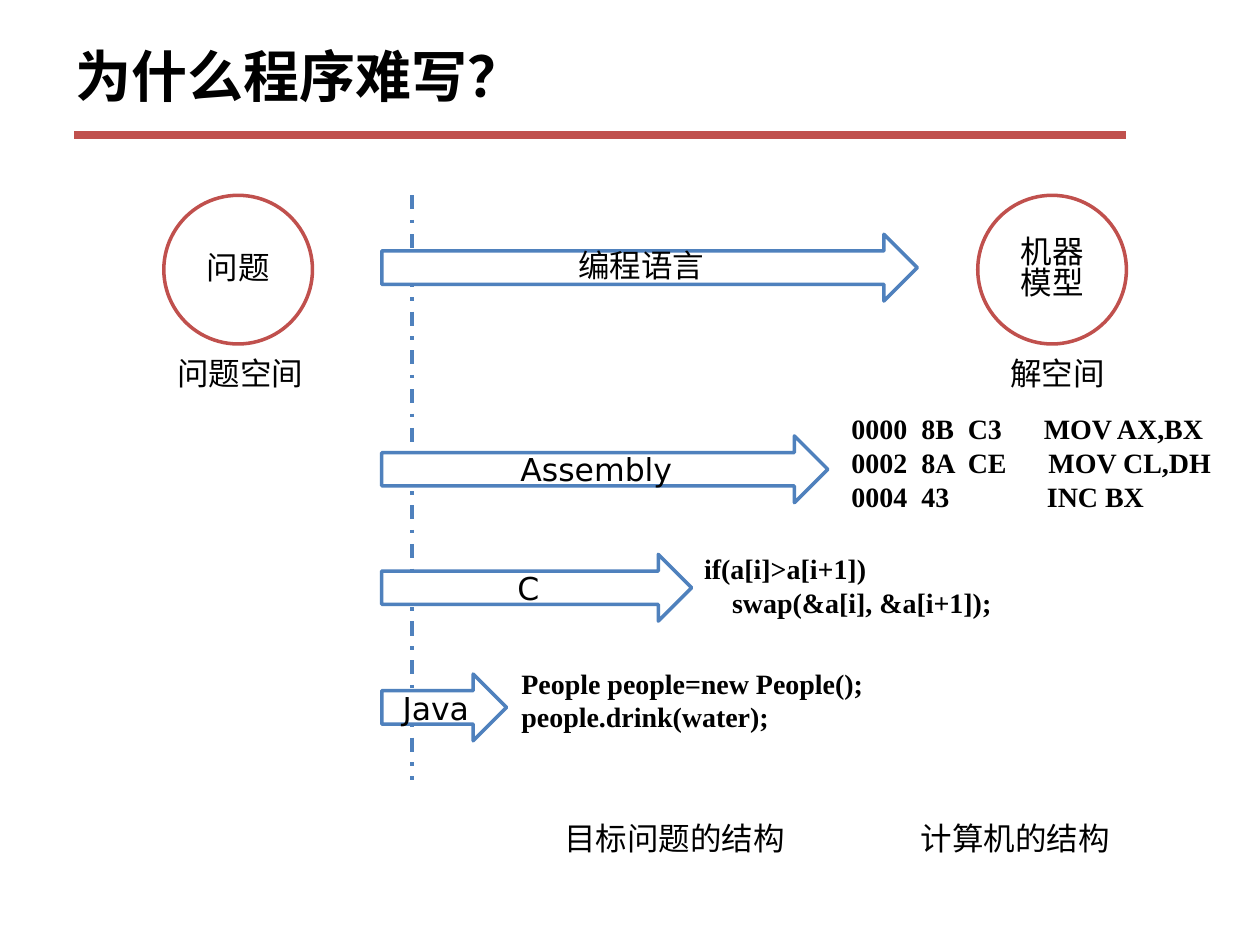
from lxml import etree
from pptx import Presentation
from pptx import util as u
from pptx.dml.color import RGBColor
from pptx.enum import dml, shapes, text
from pptx.oxml.ns import qn

HAN, SANS, CODE = "Noto Sans CJK SC", "DejaVu Sans", "Times New Roman"
RED, BLUE, WHITE, BLACK = "C0504D", "4F81BD", "FFFFFF", "000000"

# Content: places are in inches
TITLE = "为什么程序难写？"
CIRCLES = [(1.3, "问题"), (7.76, "机器模型")]  # left, label
ARROWS = [  # top, length, label, font
    (1.86, 4.25, "编程语言", HAN),
    (3.46, 3.54, "Assembly", SANS),
    (4.4, 2.46, "C", SANS),
    (5.35, 0.99, "Java", SANS),
]
LABELS = [  # left, top, width, label
    (1.31, 2.81, 1.2, "问题空间"),
    (7.92, 2.81, 0.95, "解空间"),
    (4.38, 6.5, 1.95, "目标问题的结构"),
    (7.21, 6.5, 1.7, "计算机的结构"),
]
SAMPLES = [  # left, top, width, lines of code
    (6.66, 3.22, 3.07, ["0000  8B  C3      MOV AX,BX",
                        "0002  8A  CE      MOV CL,DH",
                        "0004  43              INC BX"]),
    (5.49, 4.33, 2.48, ["if(a[i]>a[i+1])", "    swap(&a[i], &a[i+1]);"]),
    (4.04, 5.24, 2.91, ["People people=new People();", "people.drink(water);"]),
]
LEFT, RIGHT, TOP = 0.59, 8.94, 1.55
SIZE = 1.18               # circle diameter
START, THICK = 3.03, 0.53  # arrows' left edge and height

prs = Presentation()
prs.slide_width, prs.slide_height = u.Inches(10), u.Inches(7.5)
slide = prs.slides.add_slide(prs.slide_layouts[6])


def color(code):
    return RGBColor.from_string(code)


def write(shape, lines, size=18, font=HAN, bold=False, mid=False,
          center=False, wrap=False):
    frame = shape.text_frame
    frame.word_wrap = wrap
    frame.vertical_anchor = text.MSO_ANCHOR.MIDDLE if mid else text.MSO_ANCHOR.TOP
    for i, line in enumerate(lines):
        para = frame.paragraphs[0] if i == 0 else frame.add_paragraph()
        para.alignment = text.PP_ALIGN.CENTER if center else text.PP_ALIGN.LEFT
        if font == HAN:
            para.line_spacing = 0.83
        run = para.add_run()
        run.text = line
        run.font.size, run.font.bold = u.Pt(size), bold
        run.font.name = font
        run.font.color.rgb = color(BLACK)
        # East Asian glyphs use their own font slot
        etree.SubElement(run.font._element, qn("a:ea"), typeface=font)


def box(x, y, w, h, lines, **look):
    write(slide.shapes.add_textbox(*map(u.Inches, (x, y, w, h))), lines, **look)


def draw(kind, x, y, w, h, edge, label, font=HAN):
    shape = slide.shapes.add_shape(kind, *map(u.Inches, (x, y, w, h)))
    shape.shadow.inherit = False
    shape.fill.solid()
    shape.fill.fore_color.rgb = color(WHITE)
    shape.line.color.rgb, shape.line.width = color(edge), u.Pt(2)
    write(shape, [label], font=font, mid=True, center=True, wrap=True)


def rule(x1, y1, x2, y2, edge, width, dash=None):
    line = slide.shapes.add_connector(
        shapes.MSO_CONNECTOR.STRAIGHT, *map(u.Inches, (x1, y1, x2, y2)))
    line.line.color.rgb, line.line.width = color(edge), u.Pt(width)
    if dash:
        line.line.dash_style = dash
    etree.SubElement(line._element.spPr, qn("a:effectLst"))


# Title with its rule, and the dividing line behind the arrows
rule(LEFT, 1.07, RIGHT, 1.07, RED, 4.5)
rule(3.27, TOP, 3.27, 6.19, BLUE, 2, dml.MSO_LINE.DASH_DOT)
box(0.5, 0.21, 9, 0.87, [TITLE], size=32, bold=True, mid=True, wrap=True)

# Problem and machine
for x, label in CIRCLES:
    draw(shapes.MSO_SHAPE.OVAL, x, TOP, SIZE, SIZE, RED, label)

# Languages
for y, length, label, font in ARROWS:
    draw(shapes.MSO_SHAPE.RIGHT_ARROW, START, y, length, THICK, BLUE, label, font)

# Captions and code samples
for x, y, w, label in LABELS:
    box(x, y, w, 0.4, [label])
for x, y, w, lines in SAMPLES:
    box(x, y, w, 0.1 + 0.27 * len(lines), lines, size=16, font=CODE, bold=True)

prs.save("out.pptx")
